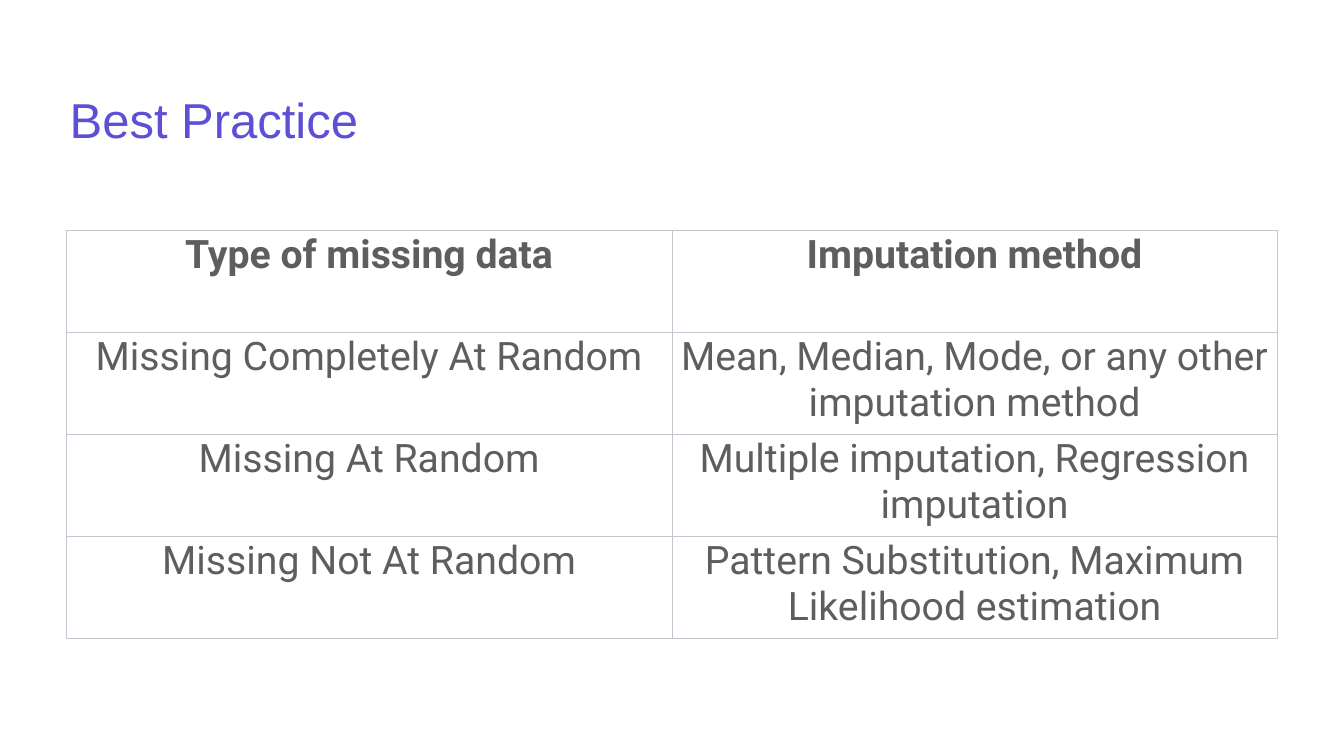
from pptx import Presentation
from pptx.dml.color import RGBColor
from pptx.enum.text import MSO_ANCHOR as Anchor, MSO_AUTO_SIZE as AutoSize, PP_ALIGN as Align
from pptx.oxml import parse_xml
from pptx.oxml.ns import nsdecls
from pptx.util import Pt

LEFT, WIDTH = 95, 1730
ROW_H = 145.7
BORDER = "C1C7CD"


def style_text(p, font, size, color, bold, align):
    p.alignment = align
    fmt = {"name": font, "size": Pt(size), "bold": bold}
    for r in p.runs:
        for key, value in fmt.items():
            setattr(r.font, key, value)
        r.font.color.rgb = RGBColor.from_string(color)


prs = Presentation()
prs.slide_width, prs.slide_height = Pt(1920), Pt(1080)
s = prs.slides.add_slide(prs.slide_layouts[5])

# Title
title = s.shapes.title
box = {"left": LEFT, "top": 34.5, "width": WIDTH, "height": 182}
for key, value in box.items():
    setattr(title, key, Pt(value))
tf = title.text_frame
tf.text = "Best Practice"
frame = {"word_wrap": True, "auto_size": AutoSize.NONE, "vertical_anchor": Anchor.BOTTOM}
for key, value in frame.items():
    setattr(tf, key, value)
for side in ("left", "top", "right", "bottom"):
    setattr(tf, f"margin_{side}", Pt(4.5))
style_text(tf.paragraphs[0], "Arial", 70, "5D4FD6", False, Align.LEFT)

# Table of imputation methods
rows = [
    ("Type of missing data", "Imputation method"),
    ("Missing Completely At Random", "Mean, Median, Mode, or any other imputation method"),
    ("Missing At Random", "Multiple imputation, Regression imputation"),
    ("Missing Not At Random", "Pattern Substitution, Maximum Likelihood estimation"),
]
table = s.shapes.add_table(len(rows), 2, Pt(LEFT), Pt(329.2), Pt(WIDTH),
                           Pt(ROW_H * len(rows))).table
table.horz_banding = False
cell_format = {
    "margin_left": Pt(5), "margin_right": Pt(5),
    "margin_top": Pt(2.9), "margin_bottom": Pt(2.9),
    "vertical_anchor": Anchor.TOP,
}
for i, row in enumerate(rows):
    for j, text in enumerate(row):
        cell = table.cell(i, j)
        cell.text = text
        for key, value in cell_format.items():
            setattr(cell, key, value)
        style_text(cell.text_frame.paragraphs[0], "Roboto", 56, "5E5E5E", i == 0, Align.CENTER)

        # Borders come before the fill in the cell properties
        tc_pr = cell._tc.get_or_add_tcPr()
        for tag in ("lnL", "lnR", "lnT", "lnB"):
            tc_pr.append(parse_xml(
                f'<a:{tag} {nsdecls("a")} w="{Pt(0.6)}"><a:solidFill>'
                f'<a:srgbClr val="{BORDER}"/></a:solidFill></a:{tag}>'))
        cell.fill.background()

prs.save("out.pptx")
